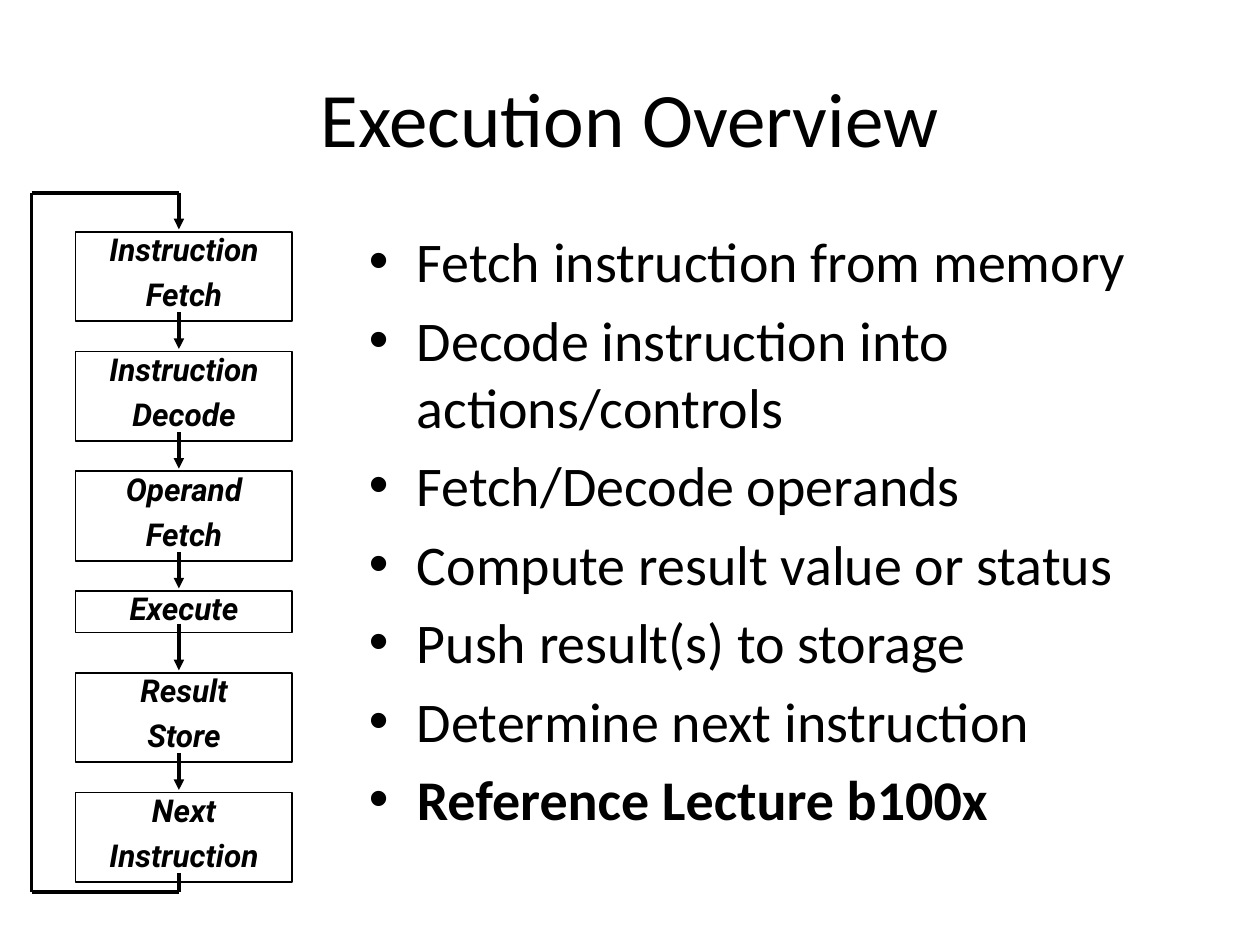
"""Build the Execution Overview slide: a looping flow chart beside a bullet list."""
from lxml.etree import SubElement
from pptx import Presentation
from pptx.dml.color import RGBColor
from pptx.enum.shapes import MSO_CONNECTOR, MSO_SHAPE
from pptx.enum.text import MSO_ANCHOR, PP_ALIGN
from pptx.oxml.ns import qn
from pptx.util import Inches, Pt

BLACK = RGBColor(0, 0, 0)
TITLE = "Execution Overview"
STEPS = [
    ("Instruction", "Fetch"),
    ("Instruction", "Decode"),
    ("Operand", "Fetch"),
    ("Execute",),
    ("Result", "Store"),
    ("Next", "Instruction"),
]
POINTS = [
    "Fetch instruction from memory",
    "Decode instruction into actions/controls",
    "Fetch/Decode operands",
    "Compute result value or status",
    "Push result(s) to storage",
    "Determine next instruction",
    "Reference Lecture b100x",
]
LEFT, TOP, WIDE = 0.6, 1.84, 1.72
HIGH = {1: 0.33, 2: 0.71}
GAP = {1: 0.32, 2: 0.24}
AXIS, SIDE, ROOF, FLOOR = 1.42, 0.25, 1.53, 7.08
INSIDE, SHORT = 0.07, 0.02

deck = Presentation()
deck.slide_width, deck.slide_height = Inches(10), Inches(7.5)
slide = deck.slides.add_slide(deck.slide_layouts[6])
shapes = slide.shapes


def write(frame, lines, name, size, space=0, bold=False):
    frame.word_wrap = True
    frame.text = "\n".join(lines)
    for i, para in enumerate(frame.paragraphs):
        para.space_before = Pt(space if i else 0)
        for run in para.runs:
            font = run.font
            font.name, font.size, font.bold = name, Pt(size), bold
            font.color.rgb = BLACK


def text(left, top, wide, high):
    return shapes.add_textbox(*map(Inches, (left, top, wide, high))).text_frame


def box(lines, top):
    rect = shapes.add_shape(
        MSO_SHAPE.RECTANGLE, *map(Inches, (LEFT, top, WIDE, HIGH[len(lines)])))
    rect.shadow.inherit = False
    rect.fill.background()
    rect.line.color.rgb, rect.line.width = BLACK, Pt(1)
    frame = rect.text_frame
    frame.margin_left = frame.margin_right = Inches(0.07)
    frame.margin_top = frame.margin_bottom = Inches(0.03)
    frame.vertical_anchor = MSO_ANCHOR.TOP
    write(frame, lines, "Roboto", 18, 7.2, True)
    for para in frame.paragraphs:
        para.alignment, para.line_spacing = PP_ALIGN.CENTER, 0.86
        para.runs[0].font.italic = True


def line(start, end, head=False):
    link = shapes.add_connector(
        MSO_CONNECTOR.STRAIGHT, *map(Inches, (*start, *end)))
    link.line.color.rgb, link.line.width = BLACK, Pt(2)
    if head:
        SubElement(link.line._get_or_add_ln(), qn("a:tailEnd"), type="triangle")
    SubElement(link._element.spPr, qn("a:effectLst"))


head = text(0.5, 0.3, 9, 1.25)
head.vertical_anchor = MSO_ANCHOR.MIDDLE
write(head, [TITLE], "Calibri", 44)
head.paragraphs[0].alignment = PP_ALIGN.CENTER

body = text(2.83, 1.75, 6.67, 5.33)
write(body, POINTS, "Calibri", 32, 6.4)
for para in body.paragraphs:
    props = para._p.get_or_add_pPr()
    props.set("marL", str(Inches(0.38)))
    props.set("indent", str(-Inches(0.38)))
    SubElement(props, qn("a:buFont"), typeface="Arial")
    SubElement(props, qn("a:buChar"), char="•")
body.paragraphs[-1].runs[0].font.bold = True

tops = [TOP]
for step in STEPS[:-1]:
    tops.append(tops[-1] + HIGH[len(step)] + GAP[len(step)])
ends = [top + HIGH[len(step)] - INSIDE for step, top in zip(STEPS, tops)]

for step, top in zip(STEPS, tops):
    box(step, top)
for end, top in zip(ends, tops[1:]):
    line((AXIS, end), (AXIS, top - SHORT), True)

loop = [(AXIS, ends[-1]), (AXIS, FLOOR), (SIDE, FLOOR), (SIDE, ROOF),
        (AXIS, ROOF), (AXIS, TOP - SHORT)]
for start, end in zip(loop, loop[1:]):
    line(start, end, end == loop[-1])

deck.save("out.pptx")
